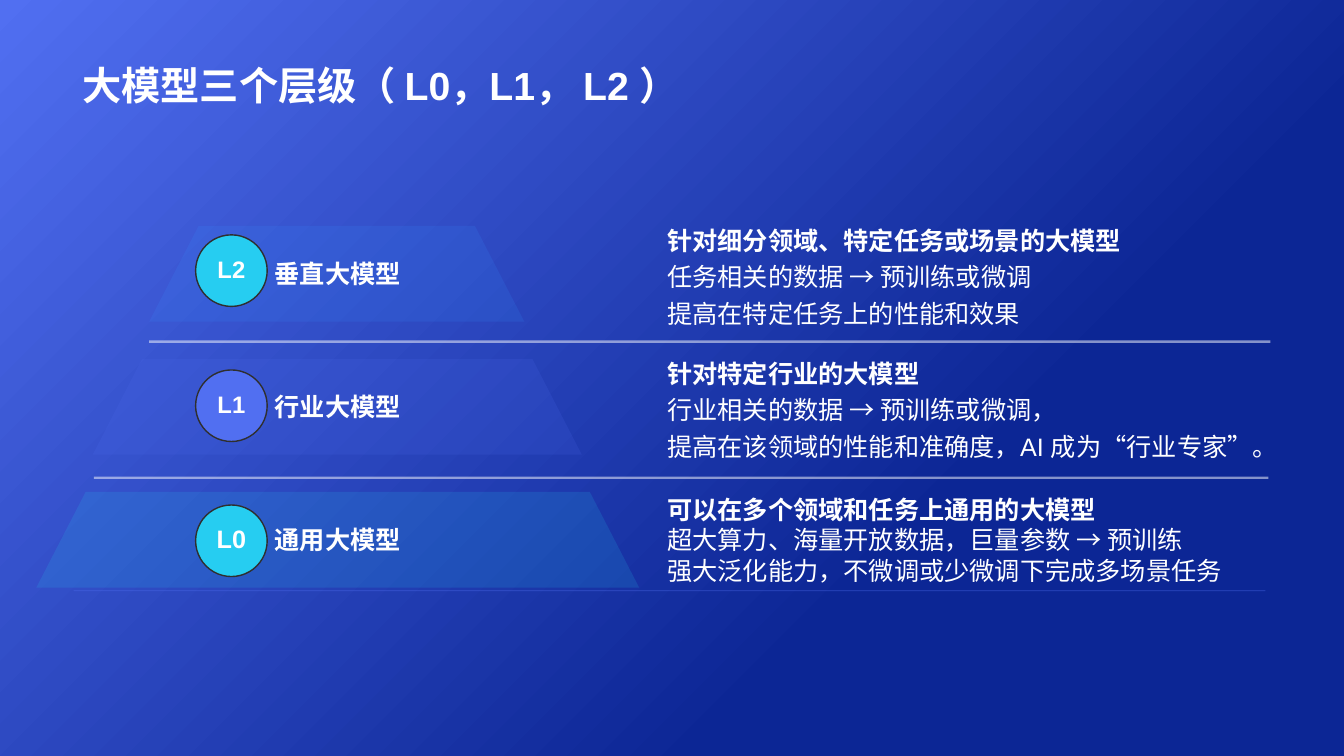
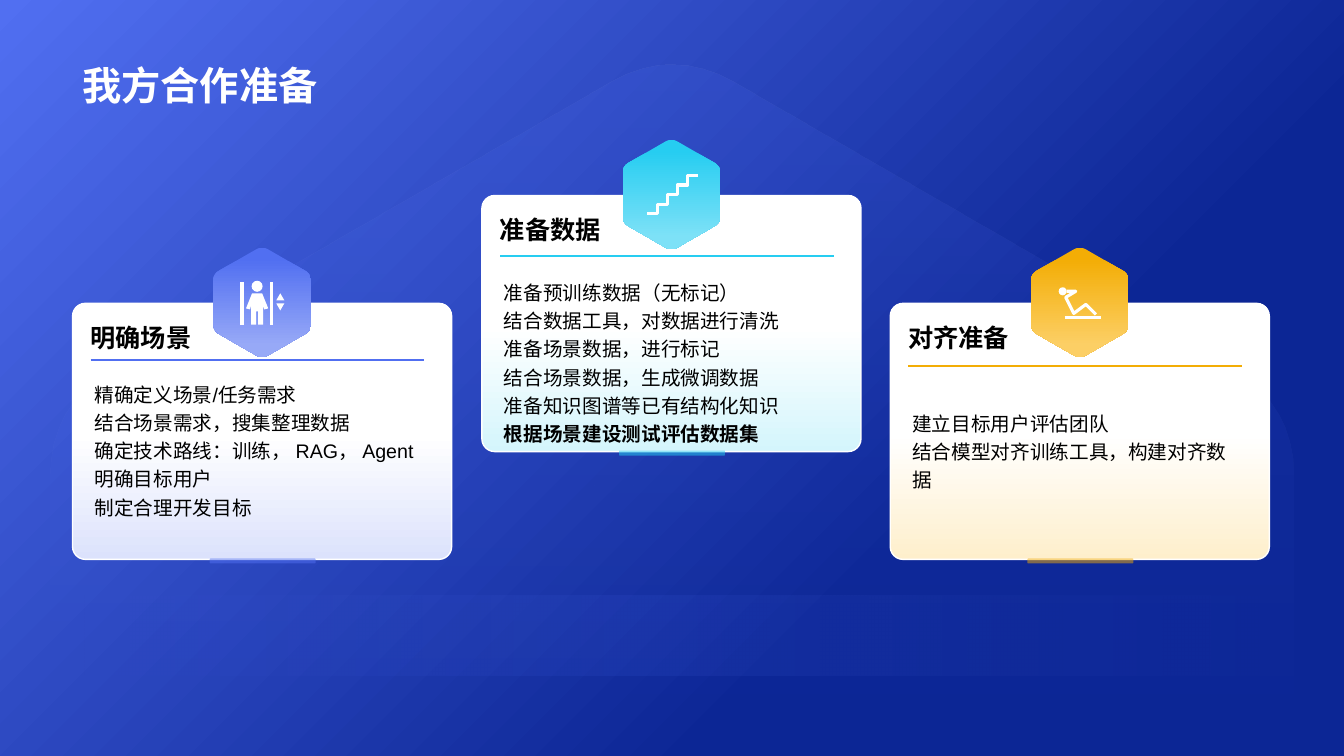
import dataclasses
import math

import lxml.etree
import pptx
import pptx.dml.color
import pptx.enum.lang
import pptx.enum.shapes
import pptx.enum.text
import pptx.oxml.ns
import pptx.util


@dataclasses.dataclass(frozen=True)
class Theme:
    font: str = "Arial"
    white: str = "FFFFFF"
    black: str = "000000"
    navy: str = "0C2695"
    blue: str = "516FF1"
    sky: str = "3690FF"
    cyan: str = "26CDF1"
    amber: str = "F3AD05"
    ring: str = "2F2F2F"
    title_size: int = 28
    heading_size: int = 18
    badge_size: int = 17
    body_size: int = 14


theme = Theme()
qn = pptx.oxml.ns.qn
kinds = pptx.enum.shapes.MSO_SHAPE
straight = pptx.enum.shapes.MSO_CONNECTOR.STRAIGHT
align = pptx.enum.text.PP_ALIGN
anchor = pptx.enum.text.MSO_ANCHOR


def paint(fill, element, stops, angle=0):
    if len(stops) == 1:
        fill.solid()
        fill.fore_color.rgb = pptx.dml.color.RGBColor.from_string(stops[0][1])
        colors = [element.find(".//" + qn("a:solidFill") + "/" + qn("a:srgbClr"))]
    else:
        fill.gradient()
        fill.gradient_angle = angle
        stop_list = element.find(".//" + qn("a:gsLst"))
        for stop in list(stop_list):
            stop_list.remove(stop)
        colors = []
        for position, color, _ in stops:
            stop = lxml.etree.SubElement(stop_list, qn("a:gs"), pos=str(position * 1000))
            colors.append(lxml.etree.SubElement(stop, qn("a:srgbClr"), val=color))
    for color, (_, _, opacity) in zip(colors, stops):
        if opacity < 100:
            lxml.etree.SubElement(color, qn("a:alpha"), val=str(opacity * 1000))


def outline(page, corners, cuts=None, closed=True):
    points = []
    for index, (x, y) in enumerate(corners):
        cut = cuts[index] if cuts else 0
        if not cut:
            points.append((x, y))
            continue
        ends = []
        for near_x, near_y in (corners[index - 1], corners[(index + 1) % len(corners)]):
            share = cut / math.hypot(near_x - x, near_y - y)
            ends.append((x + (near_x - x) * share, y + (near_y - y) * share))
        for step in range(9):
            t = step / 8
            points.append(tuple(
                (1 - t) ** 2 * start + 2 * t * (1 - t) * middle + t ** 2 * end
                for start, middle, end in zip(ends[0], (x, y), ends[1])
            ))
    points = [(round(x * col), round(y * row)) for x, y in points]
    builder = page.shapes.build_freeform(*points[0])
    builder.add_line_segments(points[1:], close=closed)
    shape = builder.convert_to_shape()
    if closed:
        shape.line.fill.background()
    else:
        shape.fill.background()
    return shape


deck = pptx.Presentation()
deck.slide_width = pptx.util.Inches(13.33)
deck.slide_height = pptx.util.Inches(7.5)
col = deck.slide_width // 1333
row = deck.slide_height // 750

texts = []
pages = []
for title in ["大模型三个层级（ L0，L1， L2 ）", "我方合作准备"]:
    page = deck.slides.add_slide(deck.slide_layouts[6])
    paint(page.background.fill, page.element,
          [(31, theme.navy, 100), (100, theme.blue, 100)], 135)
    box = page.shapes.add_textbox(72 * col, 14 * row, 1188 * col, 98 * row)
    texts.append((box, [title], theme.title_size, theme.white, {0}, 1, align.LEFT, anchor.BOTTOM))
    pages.append(page)
levels_page, cards_page = pages

levels = [
    ("L2", "垂直大模型", theme.sky, theme.cyan, 17, 1.2, (148, 1260, 339),
     ["针对细分领域、特定任务或场景的大模型", "任务相关的数据 → 预训练或微调", "提高在特定任务上的性能和效果"]),
    ("L1", "行业大模型", theme.blue, theme.blue, 17, 1.2, (93, 1258, 474),
     ["针对特定行业的大模型", "行业相关的数据 → 预训练或微调，", "提高在该领域的性能和准确度，AI 成为“行业专家”。"]),
    ("L0", "通用大模型", theme.cyan, theme.cyan, 18, 1, (73, 1255, 586),
     ["可以在多个领域和任务上通用的大模型", "超大算力、海量开放数据，巨量参数 → 预训练",
      "强大泛化能力，不微调或少微调下完成多场景任务"]),
]
for index, (code, name, band, badge_color, badge_size, spacing, rule, lines) in enumerate(levels):
    top = 224 + 132 * index
    left, right = 148 - 56 * index, 520 + 57 * index
    tier = outline(levels_page, [(left, top + 95), (left + 49, top), (right - 49, top), (right, top + 95)])
    paint(tier.fill, tier.element, [(0, band, 15)])

    label = levels_page.shapes.add_textbox(258 * col, top * row, 154 * col, 95 * row)
    texts.append((label, [name], theme.heading_size, theme.white, {0}, 1, align.CENTER, anchor.MIDDLE))

    start, end, height = rule
    divider = levels_page.shapes.add_connector(straight, start * col, height * row, end * col, height * row)
    last = index == len(levels) - 1
    divider.line.width = pptx.util.Pt(0.5 if last else 1.75)
    paint(divider.line.fill, divider.element, [(0, theme.blue if last else theme.white, 50)])

    badge = levels_page.shapes.add_shape(
        kinds.OVAL, 194 * col, (233 + 134 * index) * row, 71 * col, 71 * row)
    paint(badge.fill, badge.element, [(0, badge_color, 100)])
    badge.line.color.rgb = pptx.dml.color.RGBColor.from_string(theme.ring)
    badge.line.width = pptx.util.Pt(1)
    badge.text_frame.margin_left = badge.text_frame.margin_right = 0
    texts.append((badge, [code], badge_size, theme.white, {0}, 0.9, align.CENTER, anchor.MIDDLE))

    details = levels_page.shapes.add_textbox(652 * col, top * row, 667 * col, 95 * row)
    texts.append((details, lines, theme.heading_size, theme.white, {0}, spacing, align.LEFT, anchor.MIDDLE))

roof = outline(cards_page, [(667, 47), (1283, 402), (1283, 750), (50, 750), (50, 402)], [70, 70, 0, 0, 70])
paint(roof.fill, roof.element, [(0, theme.blue, 15), (100, theme.blue, 0)], 270)
floor = cards_page.shapes.add_shape(kinds.RECTANGLE, 73 * col, 591 * row, 1188 * col, 79 * row)
paint(floor.fill, floor.element, [(0, theme.blue, 0), (48, theme.blue, 10), (100, theme.blue, 0)])
floor.line.fill.background()

person = [(-10, -9), (0, -9), (6, 6), (2, 7), (1, 3), (1, 22), (-4, 22), (-4, 9),
          (-6, 9), (-6, 22), (-11, 22), (-11, 3), (-12, 7), (-16, 6)]
arrow_up = [(18, -9), (22, -2), (14, -2)]
arrow_down = [(14, 1), (22, 1), (18, 8)]
stairs = [(-24 + 10 * ((step + 1) // 2), 19 - 9.5 * (step // 2)) for step in range(10)]
athlete = [(-13, -11), (-4, -11), (-14, -5), (-6, 11), (6, 2), (16, 12)]

cards = [
    ("明确场景", theme.blue, "97A9F7", "DCE2FC", 301, 56, 69,
     ["精确定义场景/任务需求", "结合场景需求，搜集整理数据", "确定技术路线：训练， RAG， Agent",
      "明确目标用户", "制定合理开发目标"], set(),
     [person, arrow_up, arrow_down], [[(-20, -20), (-20, 22)], [(9, -20), (9, 22)]], [(-5, -16, 5.5)]),
    ("准备数据", theme.cyan, "7DE1F7", "D4F5FC", 194, 60, 75,
     ["准备预训练数据（无标记）", "结合数据工具，对数据进行清洗", "准备场景数据，进行标记",
      "结合场景数据，生成微调数据", "准备知识图谱等已有结构化知识", "根据场景建设测试评估数据集"], {5},
     [], [stairs], []),
    ("对齐准备", theme.amber, "FCCF65", "FEEFCC", 301, 62, 98,
     ["建立目标用户评估团队", "结合模型对齐训练工具，构建对齐数据"], set(),
     [], [athlete, [(-15, 15), (21, 15)]], [(-17, -11, 4)]),
]
for index, card in enumerate(cards):
    heading, accent, glow, tint, top, rule_gap, body_gap, lines, bold, areas, strokes, heads = card
    left = round(72 + 405.5 * index)
    panel = cards_page.shapes.add_shape(kinds.ROUNDED_RECTANGLE, left * col, top * row, 376 * col, 254 * row)
    panel.adjustments[0] = 0.05
    paint(panel.fill, panel.element, [(0, tint, 100), (49, theme.white, 100)], 90)
    panel.line.color.rgb = pptx.dml.color.RGBColor.from_string(theme.white)
    panel.line.width = pptx.util.Pt(1)

    center = left + 188
    corners = [(center + 56 * math.sin(math.radians(turn)), top - 1 - 56 * math.cos(math.radians(turn)))
               for turn in range(0, 360, 60)]
    hexagon = outline(cards_page, corners, [7] * 6)
    paint(hexagon.fill, hexagon.element, [(10, accent, 100), (89, glow, 100)], 270)

    foot = cards_page.shapes.add_shape(
        kinds.ROUNDED_RECTANGLE, (left + 136) * col, (top + 253) * row, 105 * col, 5 * row)
    paint(foot.fill, foot.element, [(0, accent, 50)])
    foot.line.fill.background()

    rule = cards_page.shapes.add_connector(
        straight, (left + 18) * col, (top + rule_gap) * row, (left + 349) * col, (top + rule_gap) * row)
    rule.line.width = pptx.util.Pt(1)
    paint(rule.line.fill, rule.element, [(0, accent, 100)])

    for area in areas:
        figure = outline(cards_page, [(center + x, top - 1 + y) for x, y in area])
        paint(figure.fill, figure.element, [(0, theme.white, 100)])
    for stroke in strokes:
        figure = outline(cards_page, [(center + x, top - 1 + y) for x, y in stroke], closed=False)
        figure.line.width = pptx.util.Pt(2.25)
        paint(figure.line.fill, figure.element, [(0, theme.white, 100)])
    for x, y, radius in heads:
        head = cards_page.shapes.add_shape(
            kinds.OVAL, round((center + x - radius) * col), round((top - 1 + y - radius) * row),
            round(2 * radius * col), round(2 * radius * row))
        paint(head.fill, head.element, [(0, theme.white, 100)])
        head.line.fill.background()

    box = cards_page.shapes.add_textbox((left + 8) * col, (top - 6) * row, 360 * col, 60 * row)
    texts.append((box, [heading], theme.heading_size, theme.black, {0}, 1, align.LEFT, anchor.BOTTOM))
    box = cards_page.shapes.add_textbox((left + 12) * col, (top + body_gap) * row, 350 * col, 165 * row)
    texts.append((box, lines, theme.body_size, theme.black, bold, 1.2, align.LEFT, anchor.TOP))

for box, lines, size, color, bold, spacing, alignment, vertical in texts:
    frame = box.text_frame
    frame.text = "\n".join(lines)
    frame.word_wrap = True
    frame.vertical_anchor = vertical
    for index, para in enumerate(frame.paragraphs):
        para.alignment = alignment
        para.line_spacing = spacing
        for span in para.runs:
            span.font.name = theme.font
            span.font.size = pptx.util.Pt(size)
            span.font.bold = index in bold
            span.font.color.rgb = pptx.dml.color.RGBColor.from_string(color)
            span.font.language_id = pptx.enum.lang.MSO_LANGUAGE_ID.SIMPLIFIED_CHINESE

for page in pages:
    for shape in page.shapes:
        lxml.etree.SubElement(shape.element.spPr, qn("a:effectLst"))

deck.save("out.pptx")
